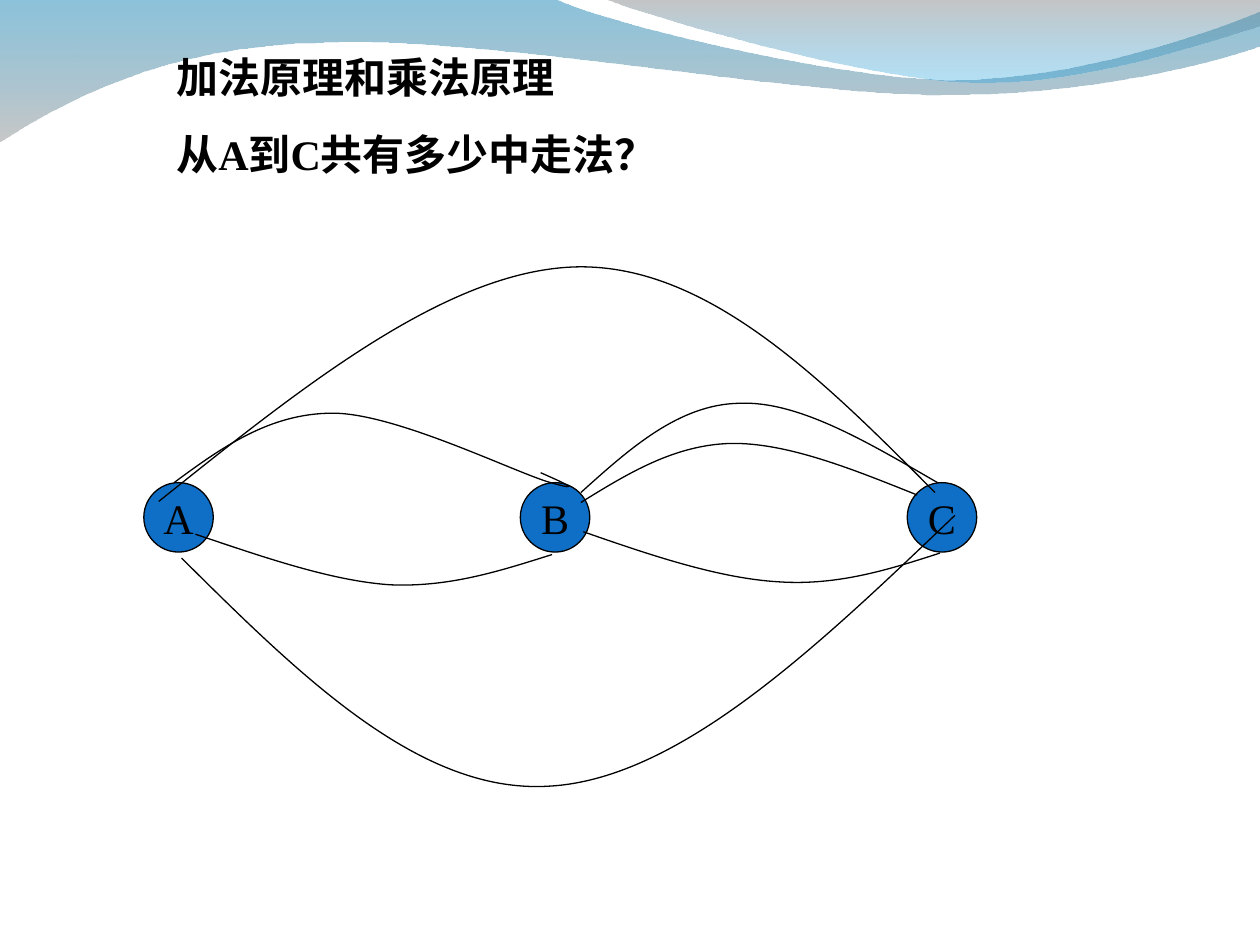
from lxml.etree import SubElement
from pptx import Presentation
from pptx.dml.color import RGBColor
from pptx.enum.shapes import MSO_SHAPE as Kind
from pptx.enum.text import MSO_ANCHOR as Anchor, MSO_AUTO_SIZE as Fit, PP_ALIGN as Align
from pptx.oxml.ns import qn
from pptx.oxml.xmlchemy import OxmlElement as Element
from pptx.util import Cm, Pt

# Content, lengths in cm
FONT = "Times New Roman"
HEADING = ["加法原理和乘法原理", "从A到C共有多少中走法？"]
TOWNS = [("A", 2.9), ("B", 10.49), ("C", 18.29)]
TOWN_TOP, TOWN_SIZE = 9.73, 1.4

# A step with one point is a line, with three points a Bezier curve
WAVES = [
    ((0, -0.03),
     [[(11.18, -0.03)],
      [(12.09, 0.43), (16.87, 1.6), (19.25, 1.6)],
      [(21.67, 1.6), (24.33, 0.66), (25.4, 0.23)],
      [(25.43, 0.91)],
      [(24.97, 1.12), (22.1, 1.93), (18.95, 1.91)],
      [(15.8, 1.91), (9.7, 0.71), (6.53, 0.86)],
      [(3.28, 0.89), (1.17, 2.11), (-0.03, 2.87)]],
     [("0079AF", 45), ("9A9A9A", 55)]),
    ((12.17, -0.03),
     [[(12.93, 0.28), (17.32, 1.57), (19.53, 1.65)],
      [(21.74, 1.75), (24.41, 0.81), (25.4, 0.53)],
      [(25.4, 0)]],
     [("7C7C7C", 45), ("009BE5", 30)]),
]
ROADS = [
    # A to B, above
    ((3.51, 9.73), [[(4.47, 9.02), (5.44, 8.33), (6.71, 8.33)],
                    [(7.98, 8.33), (10.39, 9.53), (11.1, 9.73)],
                    [(11.81, 9.93), (11.35, 9.73), (10.9, 9.53)]]),
    # B to C, above
    ((11.71, 9.93), [[(12.7, 9.04), (13.69, 8.15), (14.91, 8.13)],
                     [(16.1, 8.08), (17.5, 8.92), (18.9, 9.73)]]),
    ((11.71, 10.13), [[(12.65, 9.55), (13.59, 8.97), (14.73, 8.94)],
                      [(15.85, 8.92), (17.17, 9.45), (18.49, 9.98)]]),
    # B to C and A to B, below
    ((18.95, 11.15), [[(17.93, 11.48), (16.89, 11.81), (15.7, 11.73)],
                      [(14.5, 11.66), (13.13, 11.2), (11.76, 10.72)]]),
    ((11.13, 11.18), [[(10.08, 11.51), (9.07, 11.84), (7.87, 11.79)],
                      [(6.68, 11.71), (5.31, 11.23), (3.94, 10.77)]]),
    # A to C, above and below
    ((18.85, 9.93), [[(16.56, 7.62), (14.27, 5.36), (11.68, 5.38)],
                     [(9.07, 5.41), (6.15, 7.75), (3.2, 10.11)]]),
    ((3.66, 11.25), [[(6.07, 13.64), (8.46, 16), (11.05, 15.85)],
                     [(13.67, 15.72), (16.46, 13.06), (19.25, 10.39)]]),
]


def color(code):
    return RGBColor.from_string(code)


def outline(shape):
    shape.line.color.rgb = color("000000")
    shape.line.width = Pt(0.75)


def write(para, text, bold=False):
    run = para.add_run()
    run.text = text
    font = run.font
    font.name, font.size, font.bold = FONT, Pt(24), bold
    font.color.rgb = color("000000")


def curve(start, steps, close=False):
    """Build a freeform, then join each three-point step into a Bezier."""
    spots = [(Cm(x), Cm(y)) for step in steps for x, y in step]
    pen = shapes.build_freeform(Cm(start[0]), Cm(start[1]))
    pen.add_line_segments(spots, close=close)
    shape = pen.convert_to_shape()
    shape.shadow.inherit = False
    lines = iter(list(shape._element.iter(qn("a:lnTo"))))
    for step in steps:
        part = [next(lines) for _ in step]
        if len(part) == 3:
            bend = Element("a:cubicBezTo")
            part[0].addprevious(bend)
            for line in part:
                bend.append(line[0])
                line.getparent().remove(line)
    return shape


deck = Presentation()
deck.slide_width, deck.slide_height = Cm(25.4), Cm(19.05)
slide = deck.slides.add_slide(deck.slide_layouts[5])
shapes = slide.shapes

# Waves along the top
for start, steps, tints in WAVES:
    wave = curve(start, steps, close=True)
    wave.line.fill.background()
    wave.fill.gradient()
    wave.fill.gradient_angle = 270
    for stop, (code, alpha) in zip(wave.fill.gradient_stops, tints):
        stop.color.rgb = color(code)
    for node, (code, alpha) in zip(wave._element.spPr.iter(qn("a:srgbClr")), tints):
        SubElement(node, qn("a:alpha")).set("val", str(alpha * 1000))

# Heading, in front of the waves
title = shapes.title
shapes._spTree.append(title._element)
title.left, title.top, title.width, title.height = Cm(3.3), Cm(0.91), Cm(13.79), Cm(2.82)
frame = title.text_frame
frame.word_wrap, frame.auto_size = True, Fit.NONE
frame.vertical_anchor = Anchor.TOP
for i, text in enumerate(HEADING):
    para = frame.add_paragraph() if i else frame.paragraphs[0]
    para.alignment, para.space_before = Align.LEFT, Pt(15)
    write(para, text, bold=True)

# Towns
for name, left in TOWNS:
    town = shapes.add_shape(Kind.OVAL, Cm(left), Cm(TOWN_TOP), Cm(TOWN_SIZE), Cm(TOWN_SIZE))
    town.shadow.inherit = False
    town.fill.solid()
    town.fill.fore_color.rgb = color("0F6FC6")
    outline(town)
    frame = town.text_frame
    frame.word_wrap, frame.vertical_anchor = False, Anchor.MIDDLE
    frame.paragraphs[0].alignment = Align.CENTER
    write(frame.paragraphs[0], name)

# Roads
for start, steps in ROADS:
    road = curve(start, steps)
    road.fill.background()
    outline(road)

deck.save("out.pptx")
